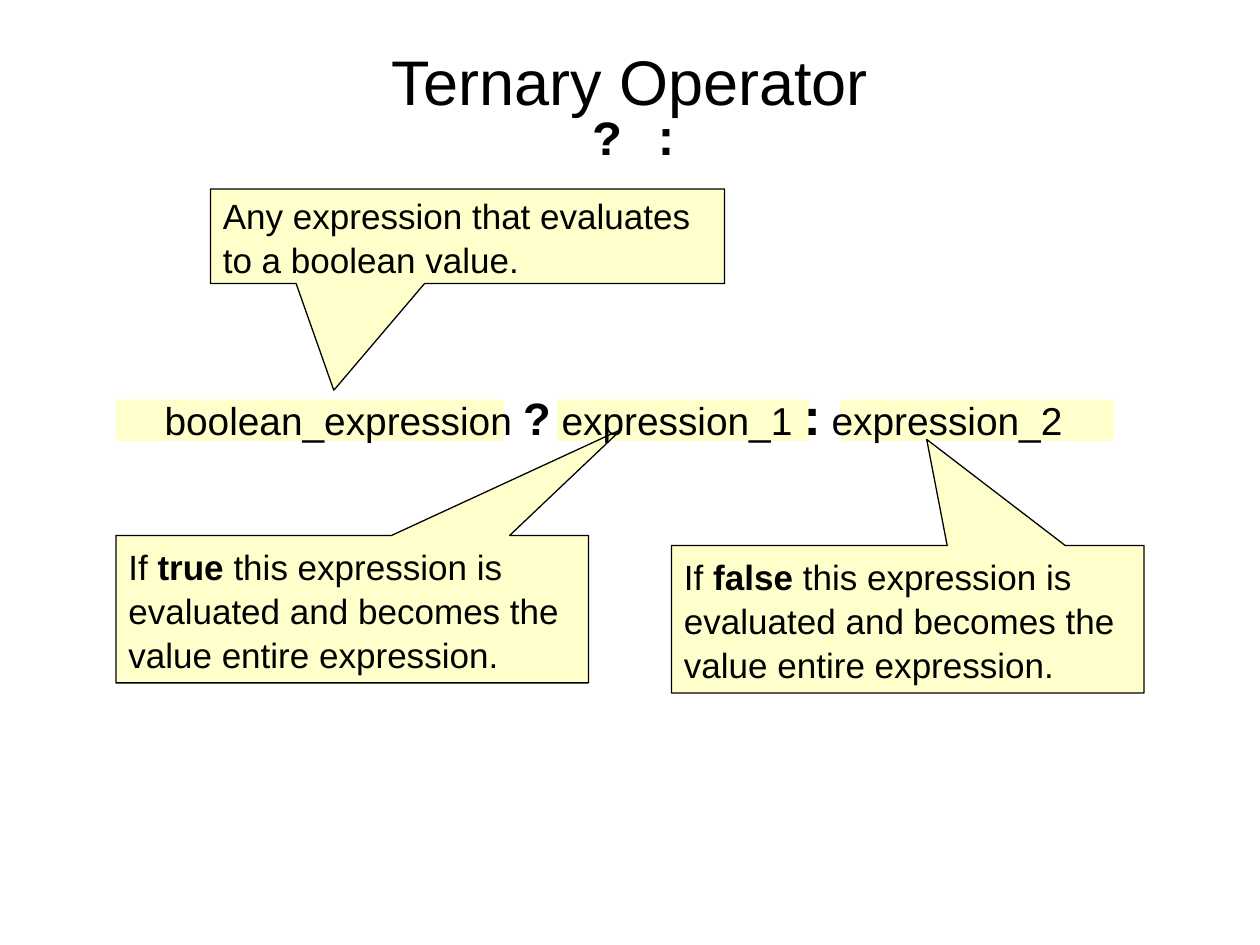
from dataclasses import dataclass

from pptx import Presentation
from pptx.dml.color import RGBColor as RGB
from pptx.enum.shapes import MSO_SHAPE as SHAPE
from pptx.enum.text import MSO_ANCHOR as ANCHOR, PP_ALIGN as ALIGN
from pptx.util import Inches, Pt


@dataclass(frozen=True)
class Theme:
    ink: RGB = RGB(0, 0, 0)
    note: RGB = RGB(0xFF, 0xFF, 0xCC)
    font: str = "Arial"
    code: str = "Courier New"
    title: float = 36
    symbols: float = 28
    body: float = 20
    term: float = 22.2
    question: float = 25.9
    colon: float = 29.6


THEME = Theme()


def add_text(p, text, size=THEME.body, bold=False, font=THEME.font):
    r = p.add_run()
    r.text = text
    r.font.size = Pt(size)
    r.font.bold = bold
    r.font.name = font
    r.font.color.rgb = THEME.ink


def add_box(s, at, anchor, spacing):
    tf = s.shapes.add_textbox(*map(Inches, at)).text_frame
    tf.word_wrap = True
    tf.vertical_anchor = anchor
    p = tf.paragraphs[0]
    p.alignment = ALIGN.CENTER
    p.line_spacing = spacing
    return p


def add_note(s, kind, at):
    sp = s.shapes.add_shape(kind, *map(Inches, at))
    sp.shadow.inherit = False
    sp.fill.solid()
    sp.fill.fore_color.rgb = THEME.note
    sp.line.fill.background()
    return sp


def add_callout(s, at, tip, lines):
    sp = add_note(s, SHAPE.RECTANGULAR_CALLOUT, at)
    sp.adjustments[0], sp.adjustments[1] = tip
    sp.line.color.rgb = THEME.ink
    sp.line.width = Pt(0.75)
    tf = sp.text_frame
    tf.word_wrap = True
    tf.vertical_anchor = ANCHOR.MIDDLE
    for i, line in enumerate(lines):
        p = tf.add_paragraph() if i else tf.paragraphs[0]
        p.alignment = ALIGN.LEFT
        p.line_spacing = 1.05
        for j, text in enumerate(line.split("*")):
            if text:
                add_text(p, text, bold=j % 2 == 1)


def add_title(s):
    p = add_box(s, (0.75, 0.42, 8.5, 0.92), ANCHOR.MIDDLE, 0.8)
    add_text(p, "Ternary Operator", size=THEME.title)
    p.add_line_break()
    add_text(p, " ", size=THEME.symbols)
    add_text(p, "? :", size=THEME.symbols, bold=True, font=THEME.code)


def add_expression(s):
    p = add_box(s, (0.58, 2.95, 8.58, 0.67), ANCHOR.TOP, 1.1)
    add_text(p, "boolean_expression ", size=THEME.term)
    add_text(p, "?", size=THEME.question, bold=True)
    add_text(p, " expression_1 ", size=THEME.term)
    add_text(p, ":", size=THEME.colon, bold=True)
    add_text(p, " expression_2", size=THEME.term)


def main():
    prs = Presentation()
    prs.slide_width, prs.slide_height = Inches(10), Inches(7.5)
    s = prs.slides.add_slide(prs.slide_layouts[6])

    for left, width in ((6.67, 2.17), (4.42, 2), (0.92, 3.08)):
        add_note(s, SHAPE.RECTANGLE, (left, 3.17, width, 0.33))
    add_title(s)

    outcome = ["evaluated and becomes the", "value entire expression."]
    add_callout(s, (0.92, 4.25, 3.75, 1.17), (0.57, -1.22),
                ["If *true* this expression is"] + outcome)
    add_callout(s, (1.67, 1.5, 4.08, 0.75), (-0.26, 1.63),
                ["Any expression that evaluates", "to a boolean value."])
    add_callout(s, (5.33, 4.33, 3.75, 1.17), (0.04, -1.22),
                ["If *false* this expression is"] + outcome)
    add_expression(s)

    prs.save("out.pptx")


if __name__ == "__main__":
    main()
